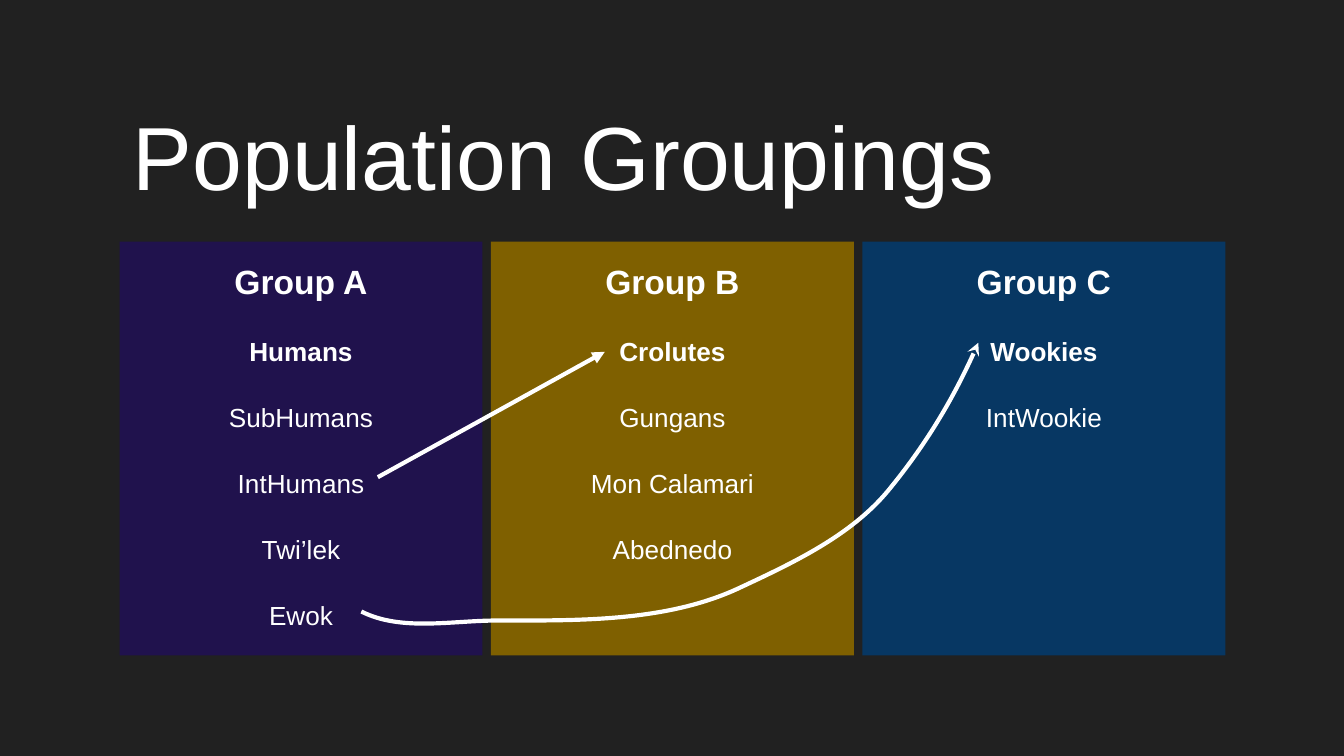
from lxml import etree
from pptx import Presentation
from pptx.dml.color import RGBColor
from pptx.enum.shapes import MSO_CONNECTOR, MSO_SHAPE
from pptx.enum.text import MSO_ANCHOR, MSO_AUTO_SIZE, PP_ALIGN
from pptx.oxml.ns import qn
from pptx.util import Cm, Pt

RECTANGLE = MSO_SHAPE.RECTANGLE
STRAIGHT = MSO_CONNECTOR.STRAIGHT
TOP, BOTTOM = MSO_ANCHOR.TOP, MSO_ANCHOR.BOTTOM
NO_AUTOFIT = MSO_AUTO_SIZE.NONE
LEFT, CENTER = PP_ALIGN.LEFT, PP_ALIGN.CENTER

FONT = "Arial"
BACKGROUND, WHITE = "212121", "FFFFFF"
MARGIN, COLUMN_WIDTH, COLUMN_PITCH = 2.26, 6.86, 7.02
GROUPS = [
    ("Group A", "20124D", ["Humans", "SubHumans", "IntHumans", "Twi’lek", "Ewok"]),
    ("Group B", "7F6000", ["Crolutes", "Gungans", "Mon Calamari", "Abednedo"]),
    ("Group C", "073763", ["Wookies", "IntWookie"]),
]
INTHUMANS_TO_CROLUTES = [(7.14, 9.02), (11.43, 6.65)]
EWOK_TO_WOOKIES = [
    (6.83, 11.56),
    (7.59, 11.94), (8.53, 11.73), (9.4, 11.73),
    (10.92, 11.73), (12.57, 11.76), (13.94, 11.13),
    (14.99, 10.64), (16.08, 10.13), (16.79, 9.27),
    (17.48, 8.43), (18.06, 7.47), (18.49, 6.48),
]


def paint(fill, color):
    """Make a fill solid in the given hex colour."""
    fill.solid()
    fill.fore_color.rgb = RGBColor.from_string(color)


def write(paragraph, text, size=14, bold=False, align=CENTER, spacing=1.15, before=0, after=0):
    """Put formatted text into a paragraph."""
    paragraph.alignment = align
    paragraph.line_spacing = spacing
    paragraph.space_before, paragraph.space_after = Pt(before), Pt(after)
    run = paragraph.add_run()
    run.text = text
    run.font.name, run.font.size, run.font.bold = FONT, Pt(size), bold
    run.font.color.rgb = RGBColor.from_string(WHITE)


def set_frame(frame, anchor):
    """Give a text frame its insets, wrapping and anchor."""
    frame.auto_size = NO_AUTOFIT
    frame.word_wrap = True
    frame.vertical_anchor = anchor
    frame.margin_left = frame.margin_right = Cm(0.25)
    frame.margin_top = frame.margin_bottom = Cm(0.25)


def add_title(slide, text):
    """Place and fill the title placeholder."""
    title = slide.shapes.title
    title.left, title.top = Cm(MARGIN), Cm(1.8)
    title.width, title.height = Cm(19.61), Cm(2.39)
    set_frame(title.text_frame, BOTTOM)
    write(title.text_frame.paragraphs[0], text, size=48, align=LEFT, spacing=1.0)


def add_group(slide, left, heading, color, species):
    """Add a coloured column with a heading and its species, the first one bold."""
    column = slide.shapes.add_shape(RECTANGLE, Cm(left), Cm(4.57), Cm(COLUMN_WIDTH), Cm(7.82))
    column.shadow.inherit = False
    paint(column.fill, color)
    column.line.fill.background()
    frame = column.text_frame
    set_frame(frame, TOP)
    write(frame.paragraphs[0], heading, size=18, bold=True)
    for index, name in enumerate(species):
        last = index == len(species) - 1
        write(frame.add_paragraph(), name, bold=index == 0, before=16, after=16 if last else 0)


def style_arrow(arrow, head):
    """Draw a white line with the given arrowhead at its end."""
    arrow.line.width = Pt(2.25)
    paint(arrow.line.fill, WHITE)
    outline = arrow.element.spPr.find(qn("a:ln"))
    etree.SubElement(outline, qn("a:tailEnd"), type=head)


def add_straight_arrow(slide, points):
    """Connect two points with a straight arrow."""
    start, end = [(Cm(x), Cm(y)) for x, y in points]
    arrow = slide.shapes.add_connector(STRAIGHT, *start, *end)
    style_arrow(arrow, "triangle")
    etree.SubElement(arrow.element.spPr, qn("a:effectLst"))


def add_curved_arrow(slide, points):
    """Draw an arrow along cubic curves, three points to each curve."""
    start, *controls = [(Cm(x), Cm(y)) for x, y in points]
    builder = slide.shapes.build_freeform(*start)
    builder.add_line_segments(controls, close=False)
    arrow = builder.convert_to_shape()
    arrow.shadow.inherit = False
    arrow.fill.background()
    style_arrow(arrow, "stealth")
    outline = next(arrow.element.iter(qn("a:path")))
    segments = outline.findall(qn("a:lnTo"))
    for first in range(0, len(segments), 3):
        curve = etree.SubElement(outline, qn("a:cubicBezTo"))
        for segment in segments[first:first + 3]:
            curve.append(segment[0])
            outline.remove(segment)


def main():
    """Build the population groupings slide."""
    presentation = Presentation()
    presentation.slide_width, presentation.slide_height = Cm(25.4), Cm(14.29)
    slide = presentation.slides.add_slide(presentation.slide_layouts[5])
    paint(slide.background.fill, BACKGROUND)
    add_title(slide, "Population Groupings")
    for index, group in enumerate(GROUPS):
        add_group(slide, MARGIN + index * COLUMN_PITCH, *group)
    add_straight_arrow(slide, INTHUMANS_TO_CROLUTES)
    add_curved_arrow(slide, EWOK_TO_WOOKIES)
    presentation.save("out.pptx")


if __name__ == "__main__":
    main()
